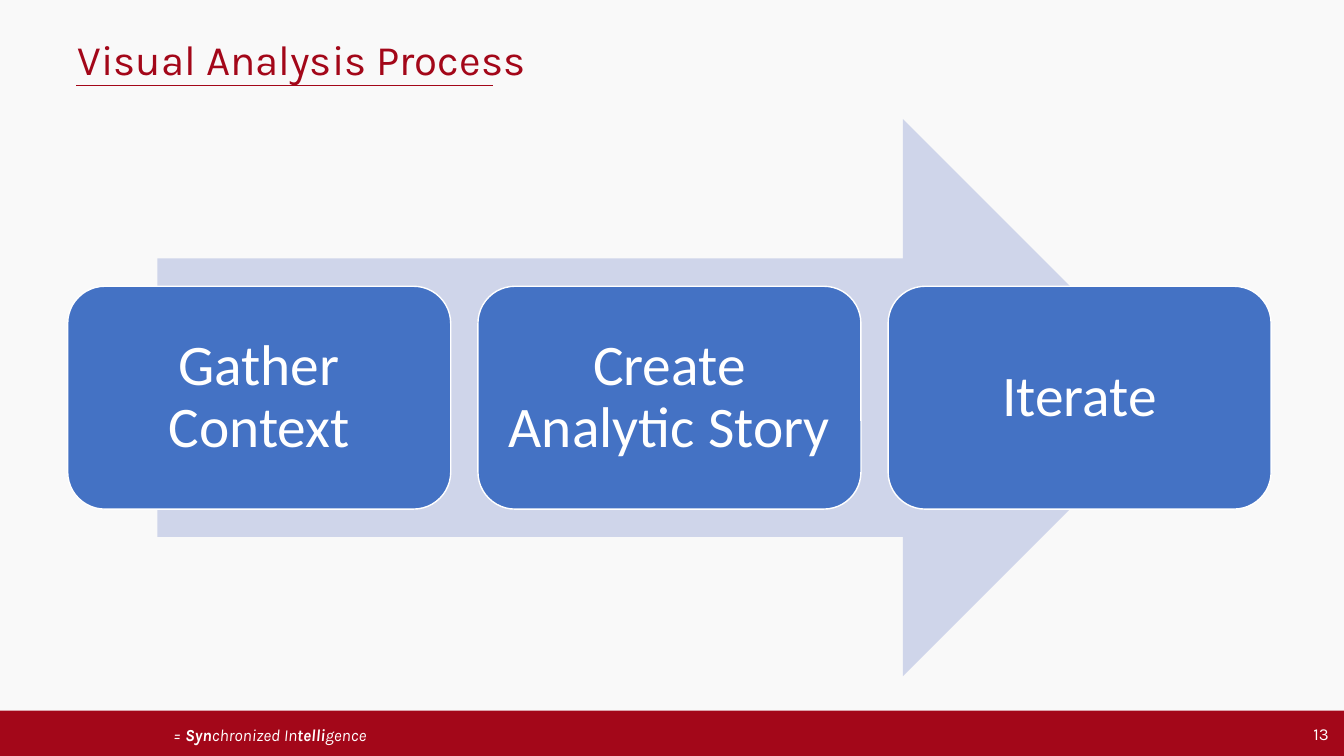
from lxml.etree import SubElement
from pptx import Presentation
from pptx.dml.color import RGBColor
from pptx.enum.shapes import MSO_CONNECTOR as Connector, MSO_SHAPE as Shape
from pptx.enum.text import MSO_ANCHOR as Anchor, PP_ALIGN as Align
from pptx.oxml.ns import qn
from pptx.util import Pt

CRIMSON = RGBColor(0xA3, 0x07, 0x19)
WHITE = RGBColor(0xFF, 0xFF, 0xFF)
OFF_WHITE = RGBColor(0xF9, 0xF9, 0xF9)
BLUE = RGBColor(0x44, 0x72, 0xC4)
PALE_BLUE = RGBColor(0xCF, 0xD5, 0xEA)

STEPS = ["Gather Context", "Create Analytic Story", "Iterate"]
STEP_LEFT, STEP_TOP = 48.4, 204.5
STEP_WIDTH, STEP_HEIGHT = 273.6, 159.2
STEP_PITCH = 293

TAGLINE = [("= ", False), ("Syn", True), ("chronized In", False),
           ("telli", True), ("gence", False)]


def add_span(para, text, *, font="Karla", size=12, color=WHITE, bold=False, italic=False):
    span = para.add_run()
    span.text = text
    span.font.name = font
    span.font.size = Pt(size)
    span.font.color.rgb = color
    span.font.bold = bold
    span.font.italic = italic


def add_block(page, kind, left, top, width, height, fill, outline=None):
    block = page.shapes.add_shape(kind, Pt(left), Pt(top), Pt(width), Pt(height))
    block.shadow.inherit = False
    block.fill.solid()
    block.fill.fore_color.rgb = fill
    if outline is None:
        block.line.fill.background()
    else:
        block.line.color.rgb = outline
        block.line.width = Pt(1)
    return block


def add_step(page, index, label):
    step = add_block(page, Shape.ROUNDED_RECTANGLE, STEP_LEFT + index * STEP_PITCH,
                     STEP_TOP, STEP_WIDTH, STEP_HEIGHT, BLUE, outline=WHITE)
    frame = step.text_frame
    frame.word_wrap = True
    frame.vertical_anchor = Anchor.MIDDLE
    frame.margin_left = frame.margin_right = Pt(12.3)
    frame.margin_top = frame.margin_bottom = Pt(12.3)
    para = frame.paragraphs[0]
    para.alignment = Align.CENTER
    para.line_spacing = 0.9
    add_span(para, label, font="Calibri", size=41)


def add_label(page, left, top, width, height, spans, *, align=Align.LEFT,
              anchor=Anchor.TOP, wrap=True, italic=False):
    box = page.shapes.add_textbox(Pt(left), Pt(top), Pt(width), Pt(height))
    box.text_frame.word_wrap = wrap
    box.text_frame.vertical_anchor = anchor
    para = box.text_frame.paragraphs[0]
    para.alignment = align
    for text, bold in spans:
        add_span(para, text, bold=bold, italic=italic)


def set_title(page, text):
    title = page.shapes.title
    title.left, title.top, title.width, title.height = Pt(48.4), Pt(24.5), Pt(828), Pt(36)
    title.text_frame.word_wrap = True
    title.text_frame.vertical_anchor = Anchor.TOP
    para = title.text_frame.paragraphs[0]
    para.alignment = Align.LEFT
    para.line_spacing = 0.9
    add_span(para, text, size=30, color=CRIMSON)


def add_rule(page, left, right, y):
    rule = page.shapes.add_connector(Connector.STRAIGHT, Pt(left), Pt(y), Pt(right), Pt(y))
    rule.line.color.rgb = CRIMSON
    rule.line.width = Pt(0.5)
    SubElement(rule.element.spPr, qn("a:effectLst"))


def main():
    deck = Presentation()
    deck.slide_width, deck.slide_height = Pt(960), Pt(540)
    page = deck.slides.add_slide(deck.slide_layouts[5])
    page.background.fill.solid()
    page.background.fill.fore_color.rgb = OFF_WHITE

    add_block(page, Shape.RECTANGLE, 0, 507.6, 960, 32.4, CRIMSON)
    add_label(page, 116.6, 514.1, 162.7, 21.6, TAGLINE, wrap=False, italic=True)
    add_label(page, 878.4, 509.8, 77.8, 28.8, [("13", False)],
              align=Align.RIGHT, anchor=Anchor.MIDDLE)

    add_block(page, Shape.RIGHT_ARROW, 112.5, 85, 731.5, 398, PALE_BLUE)
    for index, label in enumerate(STEPS):
        add_step(page, index, label)

    set_title(page, "Visual Analysis Process")
    add_rule(page, 54.5, 352, 60.8)
    deck.save("out.pptx")


if __name__ == "__main__":
    main()
